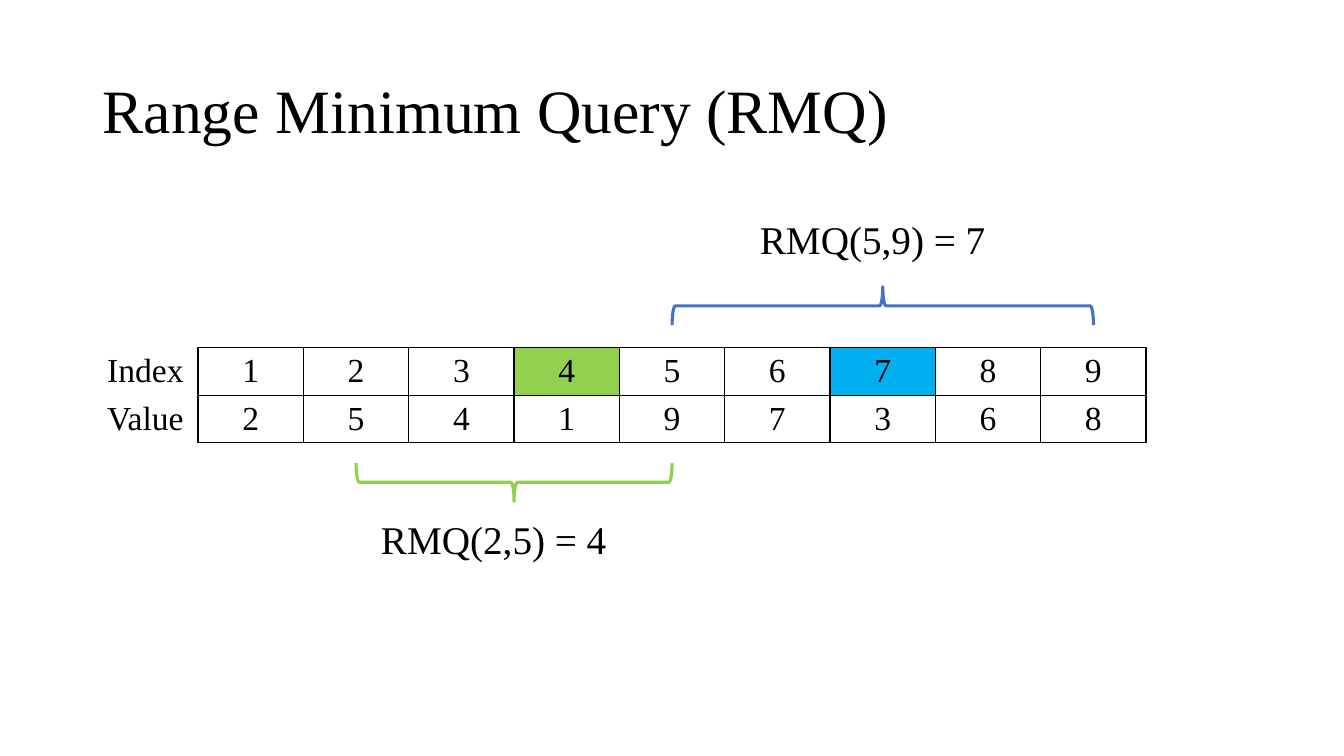
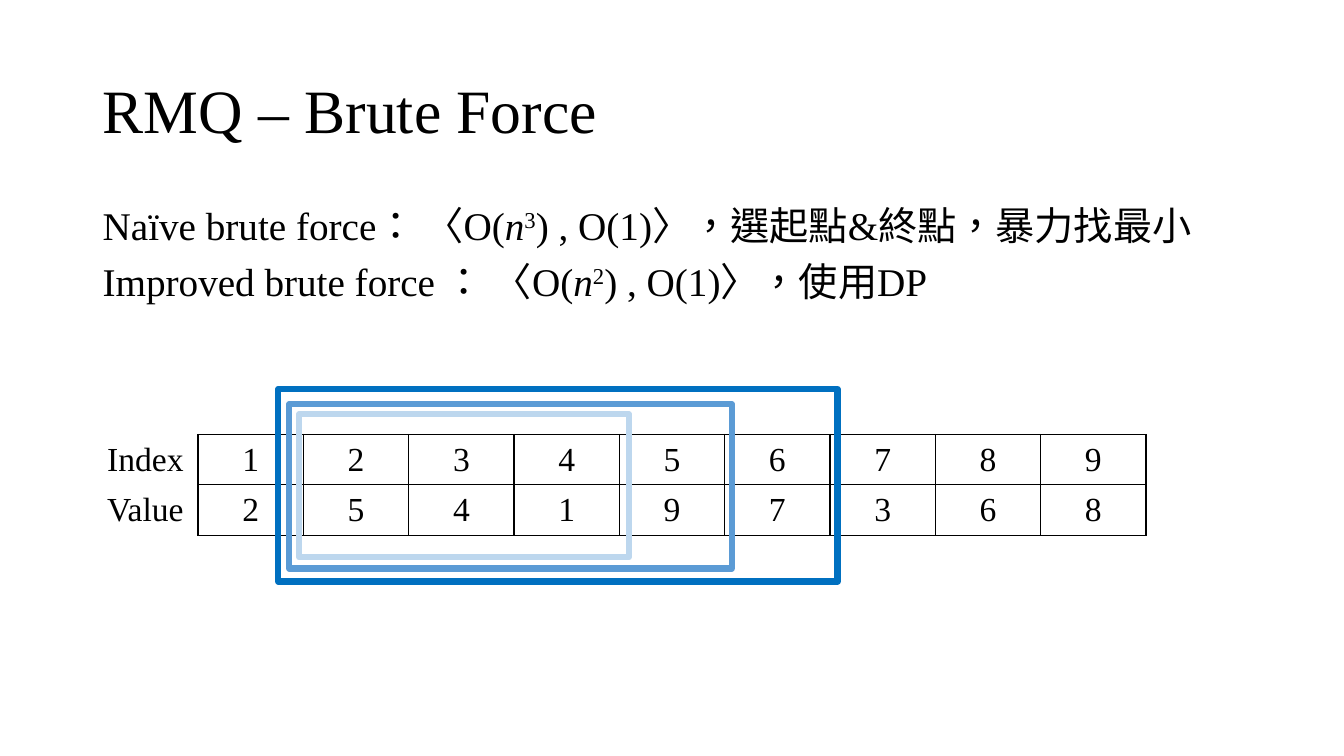
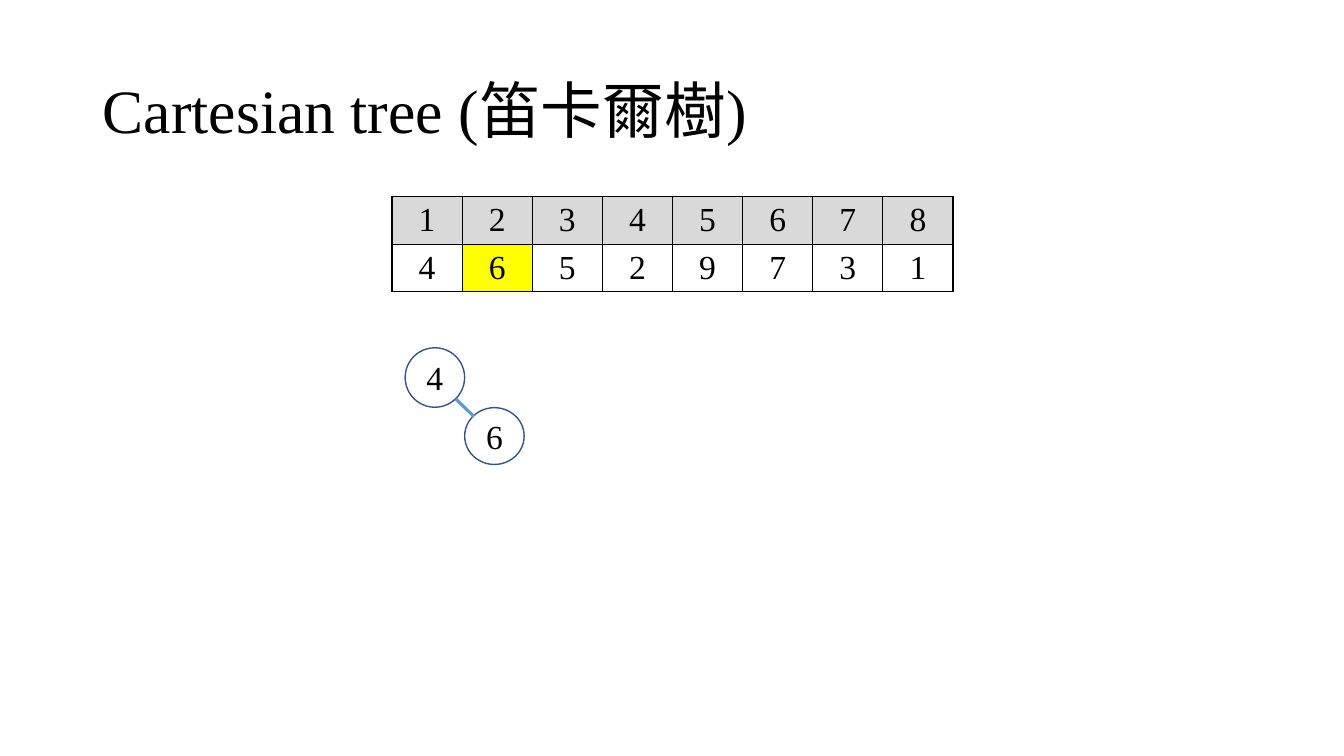
"""Three slides on range minimum queries and the Cartesian tree."""
from lxml.etree import SubElement
from pptx import Presentation
from pptx.dml.color import RGBColor
from pptx.enum.lang import MSO_LANGUAGE_ID
from pptx.enum.shapes import MSO_CONNECTOR, MSO_SHAPE
from pptx.enum.text import MSO_ANCHOR, MSO_AUTO_SIZE, PP_ALIGN
from pptx.oxml import parse_xml
from pptx.oxml.ns import nsdecls, qn
from pptx.util import Pt

HUES = {
    "ink": "000000", "white": "FFFFFF", "gray": "D9D9D9",
    "lime": "92D050", "cyan": "00B0F0", "yellow": "FFFF00",
    "royal": "4472C4", "pale": "BDD7EE", "sky": "5B9BD5",
    "deep": "0070C0", "navy": "325491",
}
SERIF, HAN = "Times New Roman", "Noto Sans CJK SC"
LEFT, COL, ROW = 66.24, 75.24, 33.9

TITLES = [
    [("Range Minimum Query (RMQ)", "")],
    [("RMQ – Brute Force", "")],
    [("Cartesian tree (", ""), ("笛卡爾樹", "han"), (")", "")],
]
ARRAY = [
    ["Index", 1, 2, 3, 4, 5, 6, 7, 8, 9],
    ["Value", 2, 5, 4, 1, 9, 7, 3, 6, 8],
]
QUERIES = [
    ("RMQ(2,5) = 4", 2, 5, 344.5, 270, "lime", (265, 368)),
    ("RMQ(5,9) = 7", 5, 9, 218.5, 90, "royal", (535.7, 154)),
]
COSTS = [
    [("Naïve brute force： 〈O(", ""), ("n", "italic"), ("3", "super"),
     (") , O(1)〉，選起點&終點，暴力找最小", "")],
    [("Improved brute force ： 〈O(", ""), ("n", "italic"), ("2", "super"),
     (") , O(1)〉，使用DP", "")],
]
FRAMES = [
    ("pale", 213.8, 295.9, 235.4, 102.2),
    ("sky", 206.6, 288.7, 316.1, 117.4),
    ("deep", 198.7, 277.9, 399.6, 137.5),
]
TREE = [list(range(1, 9)), [4, 6, 5, 2, 9, 7, 3, 1]]
NODES = [("4", 289.4, 248.4, 42.5, 42.5), ("6", 331.9, 291.2, 42.5, 40.6)]
EDGE = (325.6, 285, 338.6, 297.6)


def hue(name):
    """Return the named colour."""
    return RGBColor.from_string(HUES[name])


def style(para, size):
    """Set the common font of a paragraph."""
    para.font.name, para.font.size = SERIF, Pt(size)
    para.font.color.rgb = hue("ink")


def write(para, runs, size):
    """Fill a paragraph with marked runs."""
    for text, mark in runs:
        run = para.add_run()
        run.text = text
        run.font.language_id = MSO_LANGUAGE_ID.TRADITIONAL_CHINESE
        prop = run.font._element
        if mark == "han":
            run.font.name = HAN
        elif mark == "italic":
            run.font.italic = True
        elif mark == "super":
            prop.set("baseline", "30000")
        SubElement(prop, qn("a:ea")).set("typeface", HAN)
    style(para, size)


def add_slide(deck, runs):
    """Add a slide with the shared title style."""
    slide = deck.slides.add_slide(deck.slide_layouts[5])
    title = slide.shapes.title
    title.left, title.top = Pt(LEFT), Pt(28.8)
    title.width, title.height = Pt(828), Pt(104.4)
    frame = title.text_frame
    frame.auto_size = MSO_AUTO_SIZE.NONE
    frame.vertical_anchor = MSO_ANCHOR.MIDDLE
    para = frame.paragraphs[0]
    write(para, runs, 44)
    para.alignment, para.line_spacing = PP_ALIGN.LEFT, 0.9
    return slide


def add_text(slide, lines, box):
    """Add a text box of 28 point lines."""
    frame = slide.shapes.add_textbox(*map(Pt, box)).text_frame
    frame.word_wrap = True
    for num, runs in enumerate(lines):
        para = frame.add_paragraph() if num else frame.paragraphs[0]
        write(para, runs, 28)
        para.line_spacing = Pt(30)
        if num:
            para.space_before = Pt(10)


def add_shape(slide, kind, box, line, width):
    """Add an unfilled outline shape."""
    shape = slide.shapes.add_shape(kind, *map(Pt, box))
    shape.shadow.inherit = False
    shape.fill.background()
    shape.line.color.rgb, shape.line.width = hue(line), Pt(width)
    return shape


def edge(cell, sides):
    """Draw the given cell sides and hide the others."""
    prop = cell._tc.get_or_add_tcPr()
    for num, side in enumerate("LRTB"):
        fill = (f'<a:solidFill><a:srgbClr val="{HUES["ink"]}"/></a:solidFill>'
                if side in sides else "<a:noFill/>")
        prop.insert(num, parse_xml(
            f'<a:ln{side} {nsdecls("a")} w="12700">{fill}</a:ln{side}>'))


def add_grid(slide, rows, left, top, wide, fills):
    """Add a bordered table; row labels stay outside the border."""
    count = len(rows[0])
    table = slide.shapes.add_table(
        len(rows), count, Pt(left), Pt(top),
        Pt(wide * count), Pt(ROW * len(rows))).table
    table.first_row = table.horz_banding = False
    for col in table.columns:
        col.width = Pt(wide)
    for r, row in enumerate(rows):
        table.rows[r].height = Pt(ROW)
        for c, item in enumerate(row):
            cell = table.cell(r, c)
            cell.text = str(item)
            cell.vertical_anchor = MSO_ANCHOR.MIDDLE
            para = cell.text_frame.paragraphs[0]
            para.alignment = PP_ALIGN.CENTER
            style(para, 24)
            if (r, c) in fills:
                cell.fill.solid()
                cell.fill.fore_color.rgb = hue(fills[r, c])
            else:
                cell.fill.background()
            edge(cell, "R" if isinstance(item, str) else "LRTB")


def query(deck):
    """Build the query slide."""
    slide = add_slide(deck, TITLES[0])
    add_grid(slide, ARRAY, LEFT, 248.4, COL, {(0, 4): "lime", (0, 7): "cyan"})
    for text, first, last, mid, turn, tint, spot in QUERIES:
        span, deep = (last - first) * COL, 27.4
        center = LEFT + COL * ((first + last + 1) / 2)
        box = (center - deep / 2, mid - span / 2, deep, span)
        brace = add_shape(slide, MSO_SHAPE.LEFT_BRACE, box, tint, 2.25)
        brace.rotation = turn
        add_text(slide, [[(text, "")]], (*spot, 188.6, 41.8))


def brute(deck):
    """Build the brute force slide."""
    slide = add_slide(deck, TITLES[1])
    add_text(slide, COSTS, (LEFT, 144, 828, 342.7))
    add_grid(slide, ARRAY, LEFT, 310.3, COL,
             {(0, c): "white" for c in range(3, 9)})
    for tint, *box in FRAMES:
        add_shape(slide, MSO_SHAPE.RECTANGLE, box, tint, 4.5)


def tree(deck):
    """Build the Cartesian tree slide."""
    slide = add_slide(deck, TITLES[2])
    fills = {(0, c): "gray" for c in range(8)}
    fills.update({(1, c): "white" for c in range(4, 8)})
    fills[1, 1] = "yellow"
    add_grid(slide, TREE, 280, 140.6, 50.1, fills)
    for text, *box in NODES:
        node = add_shape(slide, MSO_SHAPE.OVAL, box, "navy", 1)
        node.fill.solid()
        node.fill.fore_color.rgb = hue("white")
        frame = node.text_frame
        frame.vertical_anchor = MSO_ANCHOR.MIDDLE
        para = frame.paragraphs[0]
        para.text, para.alignment = text, PP_ALIGN.CENTER
        style(para, 24)
    link = slide.shapes.add_connector(MSO_CONNECTOR.STRAIGHT, *map(Pt, EDGE))
    link.line.color.rgb, link.line.width = hue("sky"), Pt(2.25)
    SubElement(link._element.spPr, qn("a:effectLst"))


def main():
    """Build and save the deck."""
    deck = Presentation()
    deck.slide_width, deck.slide_height = Pt(960), Pt(540)
    for build in (query, brute, tree):
        build(deck)
    deck.save("out.pptx")


if __name__ == "__main__":
    main()
